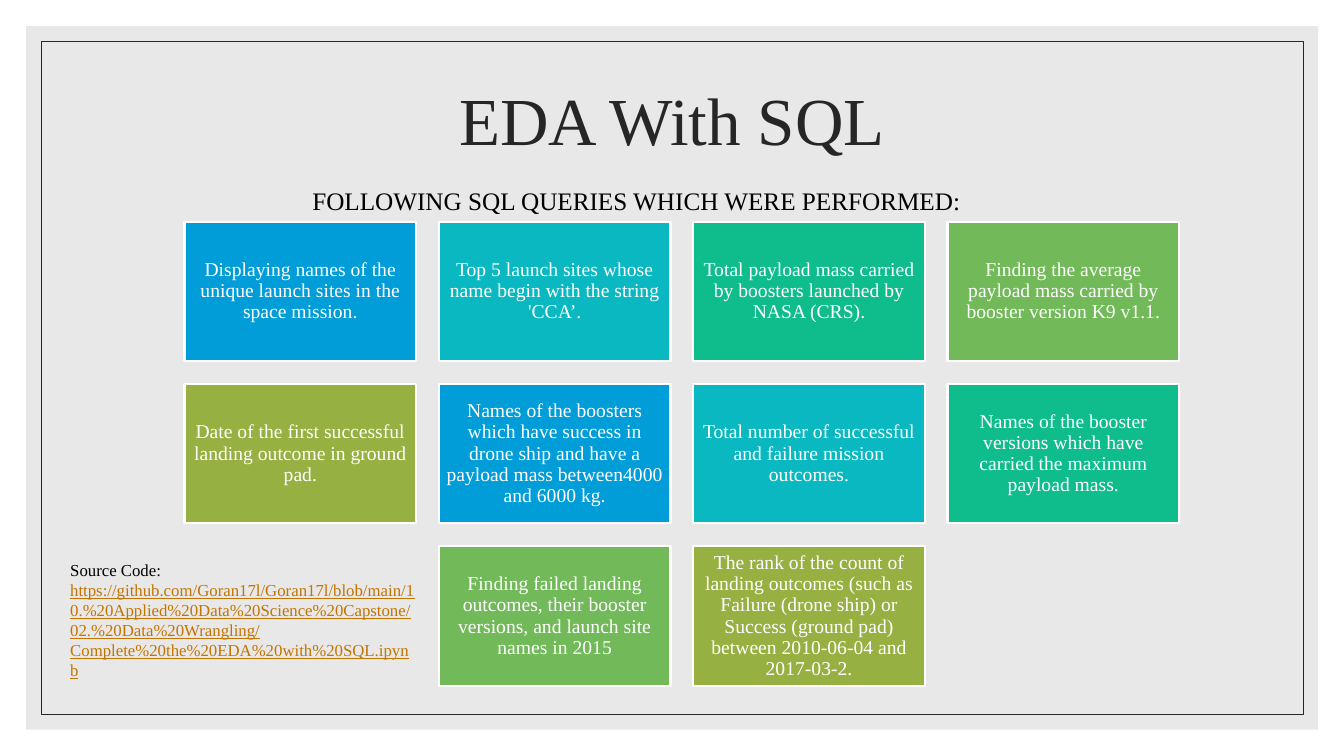
from lxml import etree
from pptx import Presentation
from pptx.dml.color import RGBColor
from pptx.enum import shapes, text
from pptx.oxml.ns import qn
from pptx.util import Cm, Pt

FONT = "Times New Roman"
DARK, BLACK, WHITE, LINK = "262626", "000000", "FFFFFF", "C37400"
TILE_COLOURS = ["009DD9", "09B8C0", "0EBC8C", "71B959", "96B042"]
COLUMNS = 4
TILE_WIDTH, TILE_HEIGHT = 5.84, 3.51
COLUMN_STEP, ROW_STEP = 6.41, 4.09
GRID_LEFT, GRID_TOP = 4.65, 5.59

QUERIES = [
    "Displaying names of the unique launch sites in the space mission.",
    "Top 5 launch sites whose name begin with the string 'CCA’.",
    "Total payload mass carried by boosters launched by NASA (CRS).",
    "Finding the average payload mass carried by booster version K9 v1.1.",
    "Date of the first successful landing outcome in ground pad.",
    "Names of the boosters which have success in drone ship and have a "
    "payload mass between4000 and 6000 kg.",
    "Total number of successful and failure mission outcomes.",
    "Names of the booster versions which have carried the maximum payload mass.",
    "Finding failed landing outcomes, their booster versions, and launch site "
    "names in 2015",
    "The rank of the count of landing outcomes (such as Failure (drone ship) or "
    "Success (ground pad) between 2010-06-04 and 2017-03-2.",
]
SOURCE_URL = (
    "https://github.com/Goran17l/Goran17l/blob/main/"
    "10.%20Applied%20Data%20Science%20Capstone/02.%20Data%20Wrangling/"
    "Complete%20the%20EDA%20with%20SQL.ipynb"
)


def colour(hex_value):
    return RGBColor.from_string(hex_value)


def style_run(run, size, hex_value):
    run.font.name = FONT
    run.font.size = Pt(size)
    run.font.color.rgb = colour(hex_value)


def add_rectangle(slide, left, top, width, height, fill=None, line=None, weight=0.5):
    rectangle = slide.shapes.add_shape(
        shapes.MSO_SHAPE.RECTANGLE, Cm(left), Cm(top), Cm(width), Cm(height))
    rectangle.shadow.inherit = False
    if fill:
        rectangle.fill.solid()
        rectangle.fill.fore_color.rgb = colour(fill)
    else:
        rectangle.fill.background()
    if line:
        rectangle.line.color.rgb = colour(line)
        rectangle.line.width = Pt(weight)
    else:
        rectangle.line.fill.background()
    return rectangle


def set_opacity(shape, percent):
    rgb = shape.fill._xPr.find(qn("a:solidFill")).find(qn("a:srgbClr"))
    etree.SubElement(rgb, qn("a:alpha")).set("val", str(percent * 1000))


def add_frame(slide):
    panel = add_rectangle(slide, 0.66, 0.66, 32.56, 17.73, fill="D9D9D9")
    set_opacity(panel, 60)
    add_rectangle(slide, 1.04, 1.04, 31.8, 16.97, line=DARK)


def place_title(slide, wording):
    """Fill the title placeholder and bring it in front of the frame."""
    title = slide.shapes.title
    title.left, title.top, title.width, title.height = Cm(2.97), Cm(1.22), Cm(27.94), Cm(3.81)
    frame = title.text_frame
    frame.text = wording
    frame.auto_size = text.MSO_AUTO_SIZE.NONE
    frame.vertical_anchor = text.MSO_ANCHOR.MIDDLE
    heading = frame.paragraphs[0]
    heading.alignment = text.PP_ALIGN.CENTER
    heading.line_spacing = 0.9
    style_run(heading.runs[0], 48, DARK)
    title.element.getparent().append(title.element)


def add_tile(slide, left, top, wording, fill):
    tile = add_rectangle(slide, left, top, TILE_WIDTH, TILE_HEIGHT, fill, WHITE, 1.5)
    frame = tile.text_frame
    frame.word_wrap = True
    frame.vertical_anchor = text.MSO_ANCHOR.MIDDLE
    frame.margin_left = frame.margin_right = Cm(0.15)
    frame.margin_top = frame.margin_bottom = Cm(0.15)
    frame.text = wording
    query = frame.paragraphs[0]
    query.alignment = text.PP_ALIGN.CENTER
    query.line_spacing = 0.9
    style_run(query.runs[0], 14, WHITE)


def add_query_grid(slide):
    """Lay the queries out in rows, centring a last row that is not full."""
    for index, query in enumerate(QUERIES):
        row, column = divmod(index, COLUMNS)
        in_row = min(COLUMNS, len(QUERIES) - row * COLUMNS)
        column += (COLUMNS - in_row) / 2
        add_tile(slide, GRID_LEFT + column * COLUMN_STEP, GRID_TOP + row * ROW_STEP,
                 query, TILE_COLOURS[index % len(TILE_COLOURS)])


def add_label(slide, left, top, width, height, wording, size):
    """Add a black text box and return its paragraph."""
    box = slide.shapes.add_textbox(Cm(left), Cm(top), Cm(width), Cm(height))
    box.text_frame.word_wrap = True
    box.text_frame.text = wording
    label = box.text_frame.paragraphs[0]
    style_run(label.runs[0], size, BLACK)
    return label


def main():
    deck = Presentation()
    deck.slide_width, deck.slide_height = Cm(33.87), Cm(19.05)
    slide = deck.slides.add_slide(deck.slide_layouts.get_by_name("Title Only"))

    add_frame(slide)
    place_title(slide, "EDA With SQL")
    add_query_grid(slide)
    add_label(slide, 7.62, 4.55, 16.94, 1.02,
              "FOLLOWING SQL QUERIES WHICH WERE PERFORMED:", 18)
    source = add_label(slide, 1.52, 13.97, 9.22, 3.33, "Source Code: ", 12)
    address = source.add_run()
    address.text = SOURCE_URL
    style_run(address, 12, LINK)
    address.font.underline = True

    deck.save("out.pptx")


if __name__ == "__main__":
    main()
